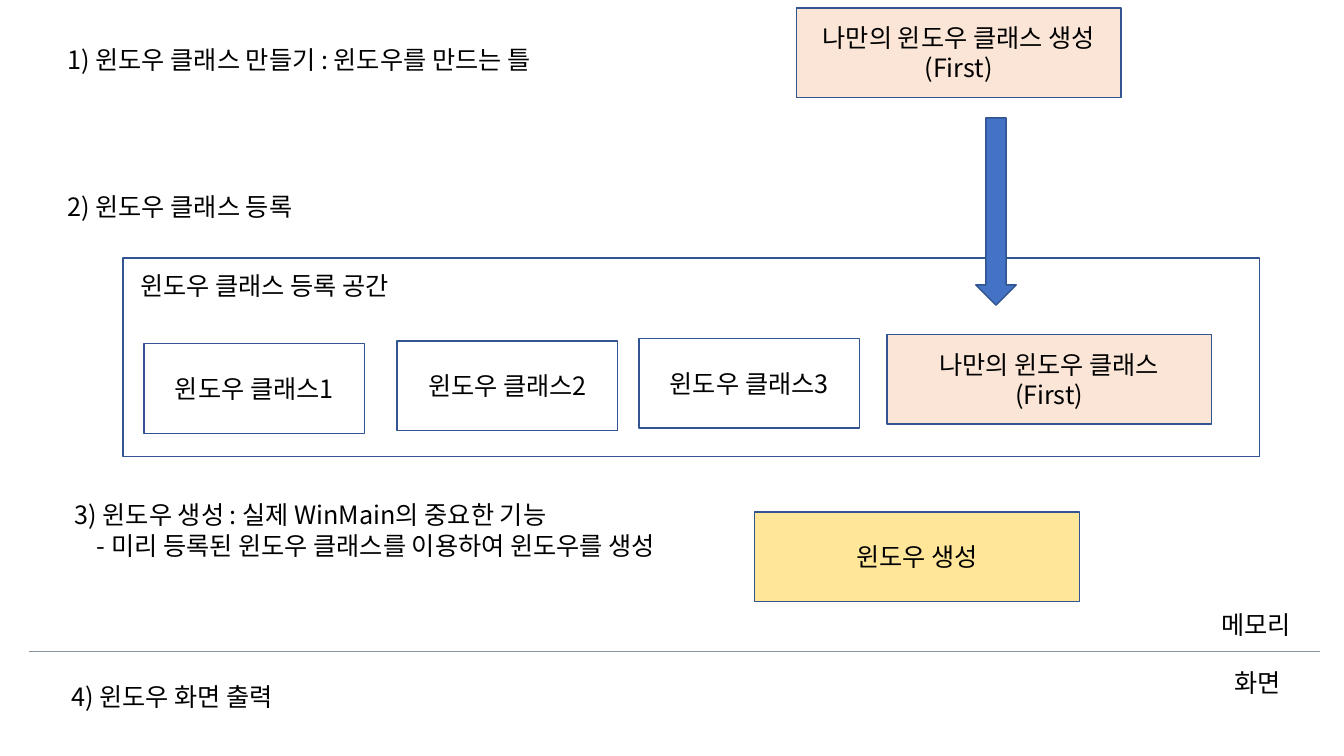
from dataclasses import dataclass
from lxml import etree
from pptx import Presentation
from pptx.dml.color import RGBColor
from pptx.enum.shapes import MSO_CONNECTOR, MSO_SHAPE
from pptx.enum.text import MSO_ANCHOR, MSO_AUTO_SIZE, PP_ALIGN
from pptx.oxml.ns import qn
from pptx.util import Cm, Pt


@dataclass(frozen=True)
class Theme:
    font: str = "Noto Sans CJK KR"
    size: int = 18
    ink: str = "000000"
    outline: str = "325491"
    arrow: str = "4472C4"
    own_class: str = "FBE5D6"
    window: str = "FFE699"
    divider: str = "8497A0"


THEME = Theme()
LINE_HEIGHT = 1.02
SUBPOINT_INDENT = 0.56
CLASS_SIZE = (5.56, 2.26)
STAGE_SIZE = (8.18, 2.26)

REGISTRY = (3.1, 6.5, 28.65, 5)
REGISTER_ARROW = (24.59, 2.97, 1.02, 4.72)
DIVIDER = (0.74, 33.27, 16.41)

REGISTERED_CLASSES = [
    ("윈도우 클래스1", 3.63, 8.66),
    ("윈도우 클래스2", 10.01, 8.59),
    ("윈도우 클래스3", 16.1, 8.53),
]
STAGES = [
    ("나만의 윈도우 클래스 생성\n(First)", 20.07, 0.2, THEME.own_class),
    ("나만의 윈도우 클래스\n(First)", 22.35, 8.43, THEME.own_class),
    ("윈도우 생성", 19.02, 12.9, THEME.window),
]
LABELS = [
    ("1) 윈도우 클래스 만들기 : 윈도우를 만드는 틀", 1.45, 0.99, 13.69),
    ("2) 윈도우 클래스 등록", 1.45, 4.7, 6.88),
    ("윈도우 클래스 등록 공간", 3.28, 6.68, 7.59),
    ("3) 윈도우 생성 : 실제 WinMain의 중요한 기능\n"
     "- 미리 등록된 윈도우 클래스를 이용하여 윈도우를 생성", 1.63, 12.47, 17.37),
    ("4) 윈도우 화면 출력", 1.55, 17.04, 6.22),
    ("메모리", 30.53, 15.24, 2.44),
    ("화면", 30.86, 16.69, 1.8),
]


def write(frame, text, align):
    frame.text = text
    for paragraph in frame.paragraphs:
        paragraph.alignment = align
        for run in paragraph.runs:
            run.font.name = THEME.font
            run.font.size = Pt(THEME.size)
            run.font.color.rgb = RGBColor.from_string(THEME.ink)
            east_asian = etree.SubElement(run.font._element, qn("a:ea"))
            east_asian.set("typeface", THEME.font)


def add_block(slide, preset, bounds, fill=None, text=""):
    block = slide.shapes.add_shape(preset, *map(Cm, bounds))
    block.shadow.inherit = False
    if fill:
        block.fill.solid()
        block.fill.fore_color.rgb = RGBColor.from_string(fill)
    else:
        block.fill.background()
    block.line.color.rgb = RGBColor.from_string(THEME.outline)
    block.line.width = Pt(1)
    if text:
        block.text_frame.vertical_anchor = MSO_ANCHOR.MIDDLE
        write(block.text_frame, text, PP_ALIGN.CENTER)


def add_label(slide, text, left, top, width):
    height = LINE_HEIGHT + 0.78 * text.count("\n")
    frame = slide.shapes.add_textbox(*map(Cm, (left, top, width, height))).text_frame
    frame.word_wrap = False
    frame.auto_size = MSO_AUTO_SIZE.SHAPE_TO_FIT_TEXT
    write(frame, text, PP_ALIGN.LEFT)
    for subpoint in frame.paragraphs[1:]:
        subpoint._p.get_or_add_pPr().set("marL", str(Cm(SUBPOINT_INDENT)))


def add_divider(slide, start, end, y):
    divider = slide.shapes.add_connector(
        MSO_CONNECTOR.STRAIGHT, Cm(start), Cm(y), Cm(end), Cm(y))
    divider.line.color.rgb = RGBColor.from_string(THEME.divider)
    divider.line.width = Pt(0.5)
    etree.SubElement(divider._element.spPr, qn("a:effectLst"))


deck = Presentation()
deck.slide_width, deck.slide_height = Cm(33.87), Cm(19.05)
slide = deck.slides.add_slide(deck.slide_layouts[6])

add_block(slide, MSO_SHAPE.RECTANGLE, REGISTRY)
for name, left, top in REGISTERED_CLASSES:
    add_block(slide, MSO_SHAPE.RECTANGLE, (left, top, *CLASS_SIZE), text=name)
for name, left, top, fill in STAGES:
    add_block(slide, MSO_SHAPE.RECTANGLE, (left, top, *STAGE_SIZE), fill, name)
add_block(slide, MSO_SHAPE.DOWN_ARROW, REGISTER_ARROW, THEME.arrow)
add_divider(slide, *DIVIDER)
for label in LABELS:
    add_label(slide, *label)

deck.save("out.pptx")
